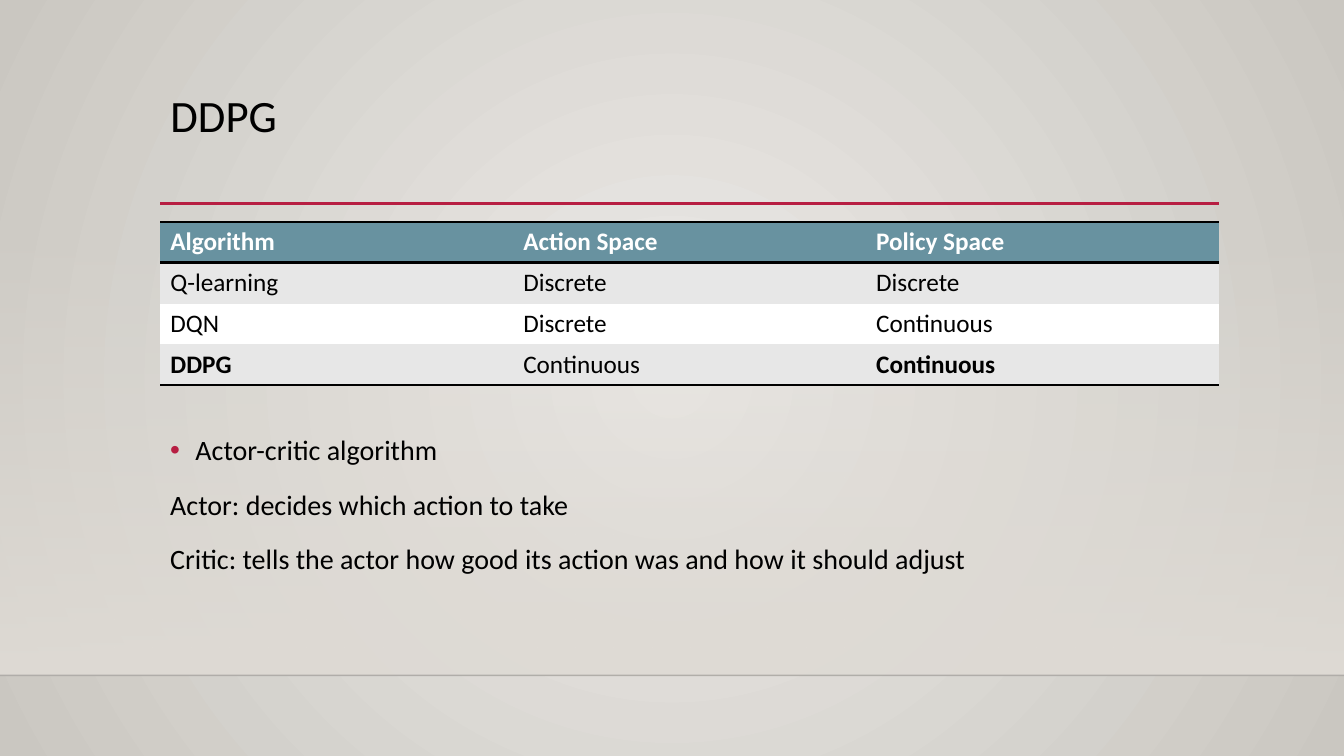
"""Build the DDPG slide: an algorithm comparison table above actor-critic notes."""
from dataclasses import dataclass

from lxml import etree
from pptx import Presentation, util as u
from pptx.dml.color import RGBColor
from pptx.enum import shapes, text
from pptx.oxml.ns import qn

TITLE = "DDPG"
ROWS = [
    ("Algorithm", "Action Space", "Policy Space"),
    ("Q-learning", "Discrete", "Discrete"),
    ("DQN", "Discrete", "Continuous"),
    ("DDPG", "Continuous", "Continuous"),
]
BOLD_CELLS = {(0, 0), (0, 1), (0, 2), (3, 0), (3, 2)}
NOTES = [
    ("Actor-critic algorithm", True),
    ("Actor: decides which action to take", False),
    ("Critic: tells the actor how good its action was and how it should adjust", False),
]


@dataclass(frozen=True)
class Theme:
    font: str = "Calibri"
    title: int = 32
    body: int = 20
    cell: int = 18
    ink: str = "000000"
    white: str = "FFFFFF"
    accent: str = "B71E42"
    header: str = "6892A0"
    band: str = "E7E7E7"
    glow: tuple = ("ECEAE7", "CAC7C1")
    wall: str = "DFDBD5"
    floor: str = "000001"


T = Theme()
W, H = 13.33, 7.5
LEFT, COL, ROW = 1.59, 3.5, 0.405
WIDTH = COL * len(ROWS[0])
TITLE_TOP, TABLE_TOP, NOTES_TOP = 0.88, 2.2, 4.18
RULE_Y, WALL_TOP, FLOOR_Y = 2.02, 2.21, 6.7
NO_STYLE = "{2D5ABB26-0587-4C30-8999-92F81FD0307C}"


def rgb(color):
    return RGBColor.from_string(color)


def inches(*values):
    return [u.Inches(v) for v in values]


def add(parent, tag, **attrs):
    return etree.SubElement(parent, qn(tag), **attrs)


def write(p, words, size=T.body, color=T.ink, bold=False, spacing=None, before=None):
    r = p.add_run()
    r.text = words
    r.font.name, r.font.size = T.font, u.Pt(size)
    r.font.bold, r.font.color.rgb = bold, rgb(color)
    p.line_spacing = spacing
    p.space_before = None if before is None else u.Pt(before)


def gradient(fill, colors):
    fill.gradient()
    for stop, color, position in zip(fill.gradient_stops, colors, (0, 1)):
        stop.color.rgb, stop.position = rgb(color), position


def line(s, x1, x2, y, color, width, alpha=None):
    c = s.shapes.add_connector(shapes.MSO_CONNECTOR.STRAIGHT, *inches(x1, y, x2, y))
    c.line.color.rgb, c.line.width = rgb(color), u.Pt(width)
    if alpha:
        add(next(c._element.spPr.iter(qn("a:srgbClr"))), "a:alpha", val=str(alpha * 1000))
    add(c._element.spPr, "a:effectLst")


def backdrop(s):
    gradient(s.background.fill, T.glow)
    grad = next(s._element.iter(qn("a:gradFill")))
    grad.remove(grad.find(qn("a:lin")))
    circle = add(grad, "a:path", path="circle")
    add(circle, "a:fillToRect", **dict.fromkeys("ltrb", "50000"))

    wall = s.shapes.add_shape(shapes.MSO_SHAPE.RECTANGLE,
                              *inches(0, WALL_TOP, W, FLOOR_Y - WALL_TOP))
    wall.shadow.inherit = False
    wall.line.fill.background()
    gradient(wall.fill, (T.wall, T.wall))
    wall.fill.gradient_angle = 270
    add(next(wall._element.spPr.iter(qn("a:srgbClr"))), "a:alpha", val="0")
    line(s, 0, W, FLOOR_Y, T.floor, 1, alpha=20)
    line(s, LEFT, LEFT + WIDTH, RULE_Y, T.accent, 2.5)


def title(s):
    sp = s.shapes.title
    sp.left, sp.top, sp.width, sp.height = inches(LEFT, TITLE_TOP, WIDTH, 1.15)
    tf = sp.text_frame
    tf.vertical_anchor = text.MSO_ANCHOR.TOP
    tf.paragraphs[0].alignment = text.PP_ALIGN.LEFT
    write(tf.paragraphs[0], TITLE, size=T.title, spacing=0.9)


def border(cell, side):
    ln = etree.Element(qn(f"a:ln{side}"), w=str(u.Pt(2)))
    add(add(ln, "a:solidFill"), "a:srgbClr", val=T.ink)
    cell._tc.get_or_add_tcPr().insert(0, ln)


def table(s):
    frame = s.shapes.add_table(len(ROWS), len(ROWS[0]),
                               *inches(LEFT, TABLE_TOP, WIDTH, ROW * len(ROWS)))
    tbl = frame.table
    next(frame._element.iter(qn("a:tableStyleId"))).text = NO_STYLE
    for i, row in enumerate(ROWS):
        fill = T.header if i == 0 else T.band if i % 2 else T.white
        sides = "BT" if i == 0 else "B" if i == len(ROWS) - 1 else ""
        for j, words in enumerate(row):
            cell = tbl.cell(i, j)
            cell.fill.solid()
            cell.fill.fore_color.rgb = rgb(fill)
            for side in sides:
                border(cell, side)
            write(cell.text_frame.paragraphs[0], words, size=T.cell,
                  color=T.ink if i else T.white, bold=(i, j) in BOLD_CELLS)


def bullet(p):
    pPr = p._p.get_or_add_pPr()
    pPr.set("marL", str(u.Inches(0.25)))
    pPr.set("indent", str(u.Inches(-0.25)))
    add(add(pPr, "a:buClr"), "a:srgbClr", val=T.accent)
    add(pPr, "a:buFont", typeface="Arial")
    add(pPr, "a:buChar", char="•")


def notes(s):
    tf = s.shapes.add_textbox(*inches(LEFT, NOTES_TOP, WIDTH, 1.8)).text_frame
    tf.word_wrap = True
    for i, (words, bulleted) in enumerate(NOTES):
        p = tf.add_paragraph() if i else tf.paragraphs[0]
        write(p, words, spacing=1.2, before=10)
        if bulleted:
            bullet(p)


def main():
    prs = Presentation()
    prs.slide_width, prs.slide_height = inches(W, H)
    s = prs.slides.add_slide(prs.slide_layouts[5])
    backdrop(s)
    title(s)
    table(s)
    notes(s)
    prs.save("out.pptx")


if __name__ == "__main__":
    main()
